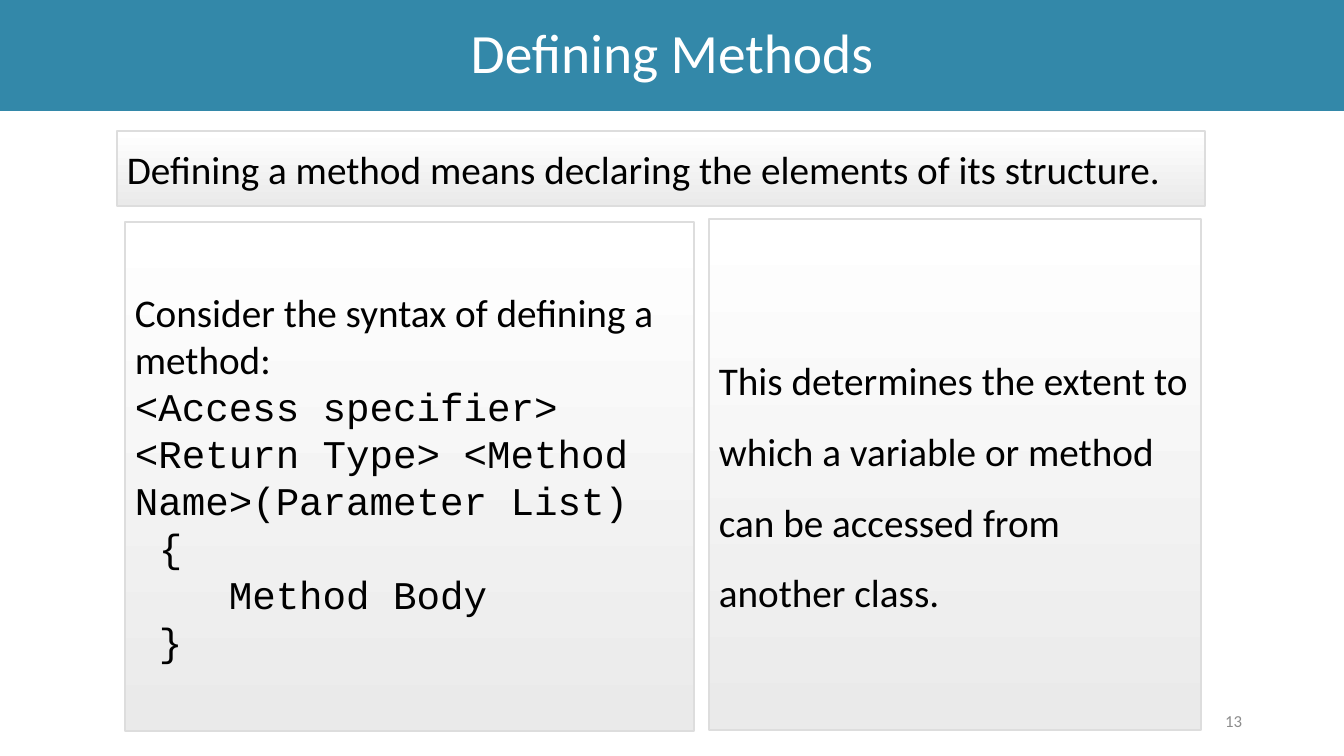
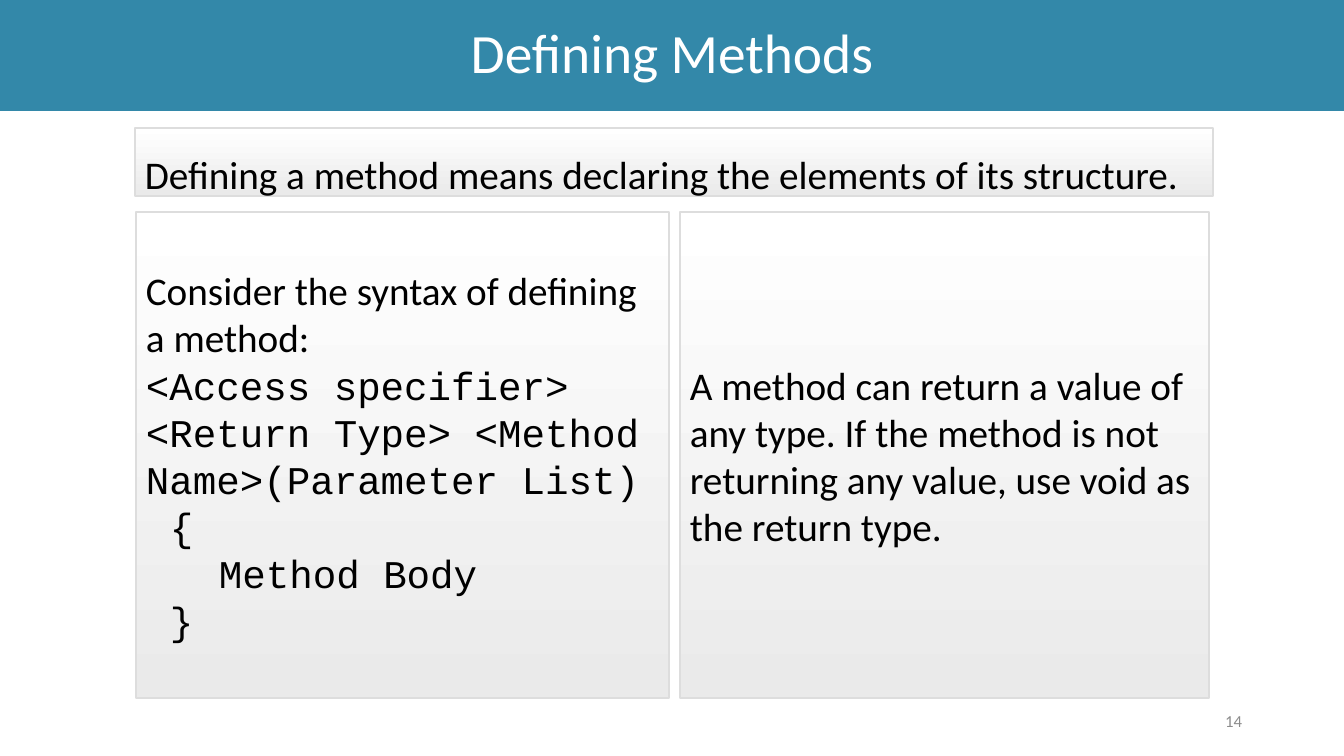
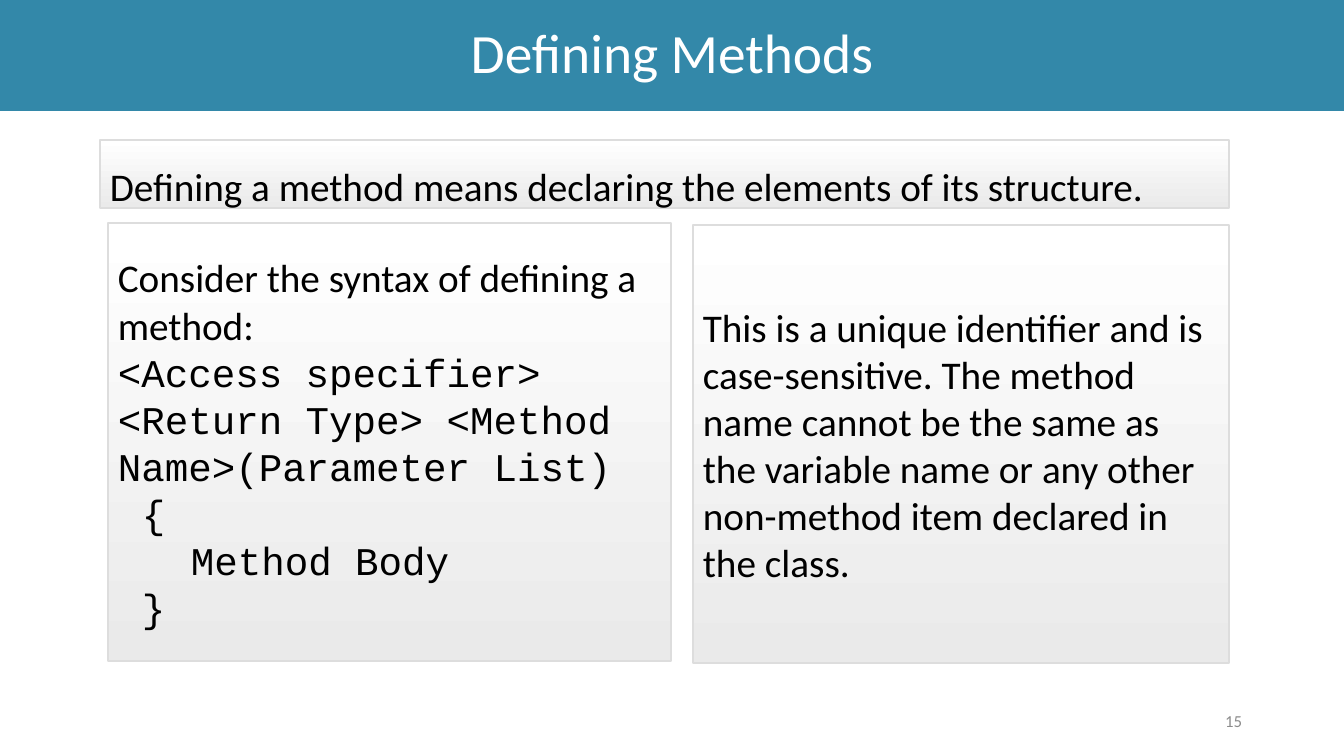
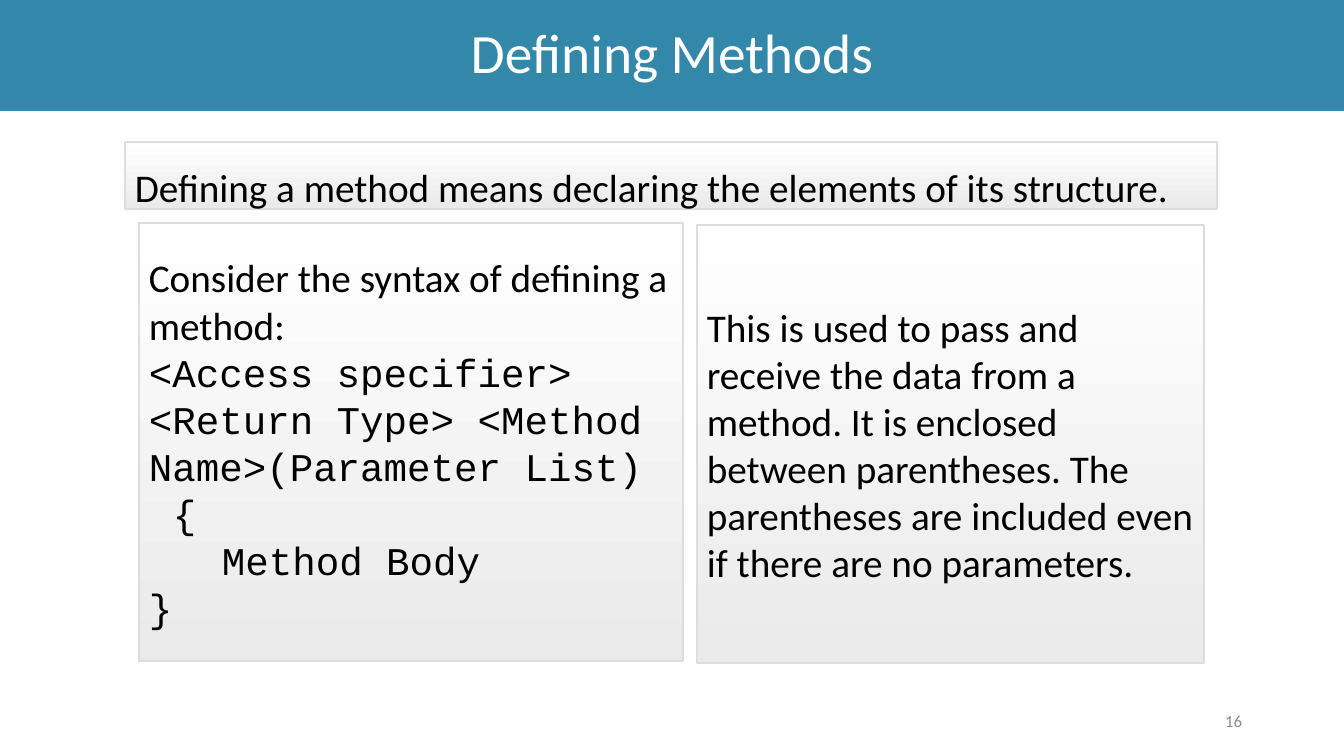
import dataclasses

import pptx
import pptx.dml.color
import pptx.enum.shapes
import pptx.enum.text
import pptx.oxml.ns
import pptx.util
from lxml import etree

ALIGN = pptx.enum.text.PP_ALIGN
RGB = pptx.dml.color.RGBColor.from_string
PX = 914400 / 100.8  # EMU in one px


@dataclasses.dataclass(frozen=True)
class Theme:
    band: str = "3388A9"
    panel_top: str = "FFFFFF"
    panel_bottom: str = "EAEAEA"
    border: str = "DDDDDD"
    title_text: str = "FFFFFF"
    body_text: str = "000000"
    number_text: str = "8C8C8C"
    font: str = "Calibri"
    code_font: str = "Courier New"
    title_size: float = 39.6
    body_size: int = 28
    number_size: int = 12
    border_width: int = 1


T = Theme()
TABS = [24 + 49 * i for i in range(8)]


def add_text(tf, text, size=T.body_size, color=T.body_text, font=T.font,
             align=ALIGN.LEFT, spacing=None, tabs=()):
    """Write one paragraph, using the empty first one if it is free."""
    tf.word_wrap = True
    tf.vertical_anchor = pptx.enum.text.MSO_ANCHOR.MIDDLE
    p = tf.paragraphs[0] if not tf.text else tf.add_paragraph()
    if tabs:
        tab_list = etree.SubElement(p._p.get_or_add_pPr(), pptx.oxml.ns.qn("a:tabLst"))
        for pos in tabs:
            etree.SubElement(tab_list, pptx.oxml.ns.qn("a:tab"), pos=str(round(pos * PX)), algn="l")
    p.alignment = align
    if spacing:
        p.line_spacing = spacing
    r = p.add_run()
    r.text = text
    r.font.name = font
    r.font.size = pptx.util.Pt(size)
    r.font.color.rgb = RGB(color)


def add_rect(s, box, fill=None):
    """Add a flat band if fill is given, otherwise a bordered gradient panel."""
    sp = s.shapes.add_shape(pptx.enum.shapes.MSO_SHAPE.RECTANGLE, *[round(v * PX) for v in box])
    sp.shadow.inherit = False
    if fill:
        sp.fill.solid()
        sp.fill.fore_color.rgb = RGB(fill)
        sp.line.fill.background()
    else:
        sp.fill.gradient()
        sp.fill.gradient_angle = 270
        for stop, color in zip(sp.fill.gradient_stops, (T.panel_top, T.panel_bottom)):
            stop.color.rgb = RGB(color)
        sp.line.color.rgb = RGB(T.border)
        sp.line.width = pptx.util.Pt(T.border_width)
    return sp


# Content: boxes are left, top, width, height in px
TITLE = "Defining Methods"
INTRO = "Defining a method means declaring the elements of its structure."
SYNTAX = "Consider the syntax of defining a method:"
SIGNATURE = "<Access specifier> <Return Type> <Method Name>(Parameter List)"

SLIDES = [
    dict(intro=(117, 131, 1088, 75), syntax=(125, 222, 569, 509), note=(709, 219, 492, 511),
         intro_spacing=None, note_spacing=1.5,
         body=["\t{", "    Method Body", "\t}"],
         text=["This determines the extent to which a variable or method",
               "can be accessed from another class."]),
    dict(intro=(135, 128, 1078, 68), syntax=(136, 212, 533, 486), note=(680, 212, 529, 486),
         intro_spacing=1.5, note_spacing=None,
         body=["\t{", "\t\tMethod Body", "\t}"],
         text=["A method can return a value of any type. If the method is not "
               "returning any value, use void as the return type."]),
    dict(intro=(100, 140, 1129, 68), syntax=(108, 223, 563, 438), note=(693, 225, 536, 438),
         intro_spacing=1.5, note_spacing=None,
         body=["\t{", "\t\tMethod Body", "\t}"],
         text=["This is a unique identifier and is",
               "case-sensitive. The method name cannot be the same as the variable name "
               "or any other non-method item declared in the class."]),
    dict(intro=(125, 142, 1092, 67), syntax=(139, 223, 544, 438), note=(697, 225, 507, 438),
         intro_spacing=1.5, note_spacing=None,
         body=["\t{", "\t\tMethod Body", "}"],
         text=["This is used to pass and receive the data from a method. It is enclosed "
               "between parentheses. The parentheses are included even if there are no "
               "parameters."]),
]

prs = pptx.Presentation()
prs.slide_width = round(1344 * PX)
prs.slide_height = round(756 * PX)

for number, content in enumerate(SLIDES, start=13):
    s = prs.slides.add_slide(prs.slide_layouts[6])

    # Title band
    sp = add_rect(s, (0, 0, 1344, 111), fill=T.band)
    add_text(sp.text_frame, TITLE, size=T.title_size, color=T.title_text,
             align=ALIGN.CENTER, spacing=0.9)

    # Slide number
    sp = s.shapes.add_textbox(*[round(v * PX) for v in (950, 701, 302, 40)])
    add_text(sp.text_frame, str(number), size=T.number_size, color=T.number_text,
             align=ALIGN.RIGHT)

    # Introduction
    sp = add_rect(s, content["intro"])
    add_text(sp.text_frame, INTRO, spacing=content["intro_spacing"], tabs=TABS)

    # Syntax panel
    tf = add_rect(s, content["syntax"]).text_frame
    add_text(tf, SYNTAX, tabs=TABS)
    for line in [SIGNATURE] + content["body"]:
        add_text(tf, line, font=T.code_font, tabs=TABS)

    # Explanation panel
    tf = add_rect(s, content["note"]).text_frame
    for line in content["text"]:
        add_text(tf, line, spacing=content["note_spacing"], tabs=TABS)

prs.save("out.pptx")
